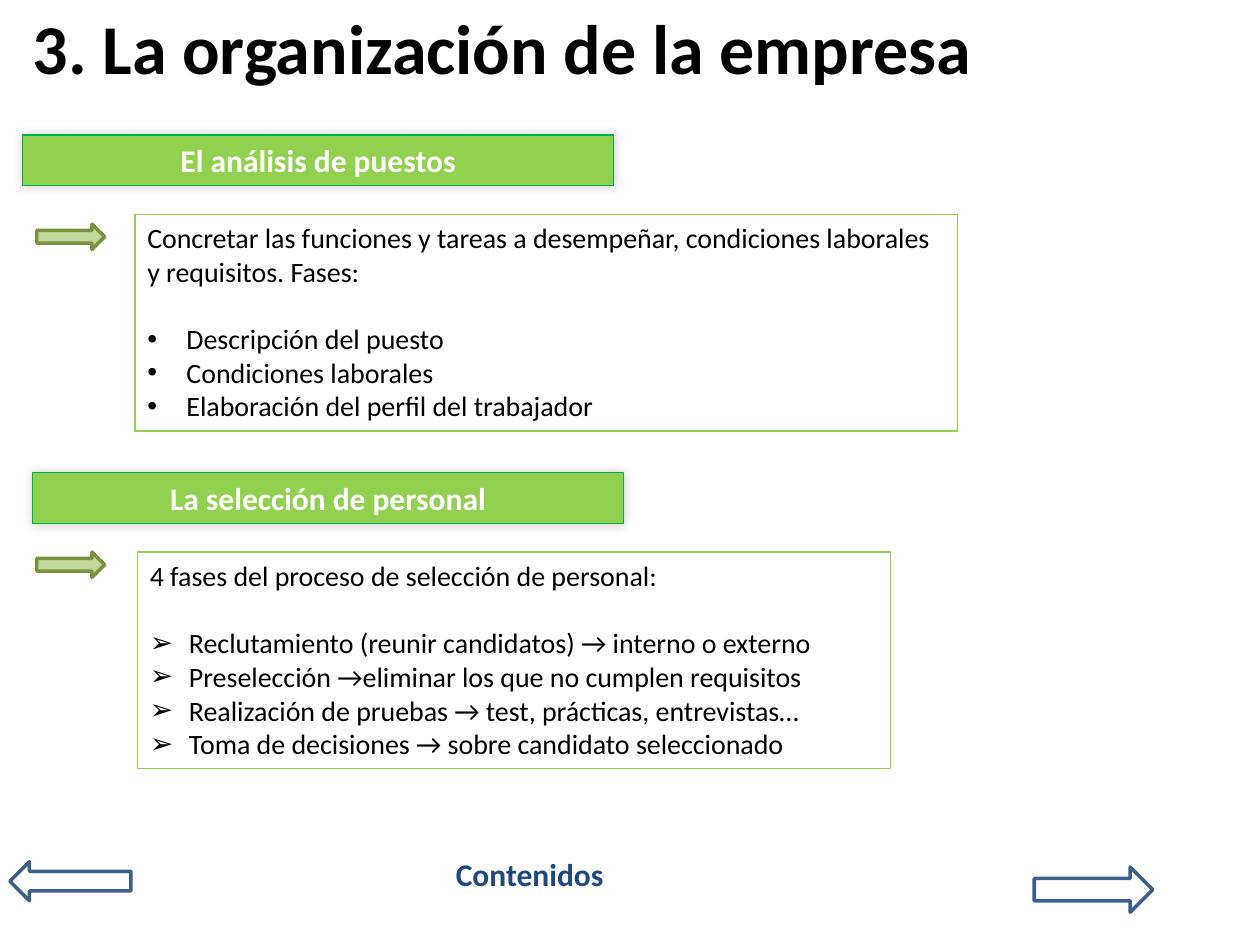
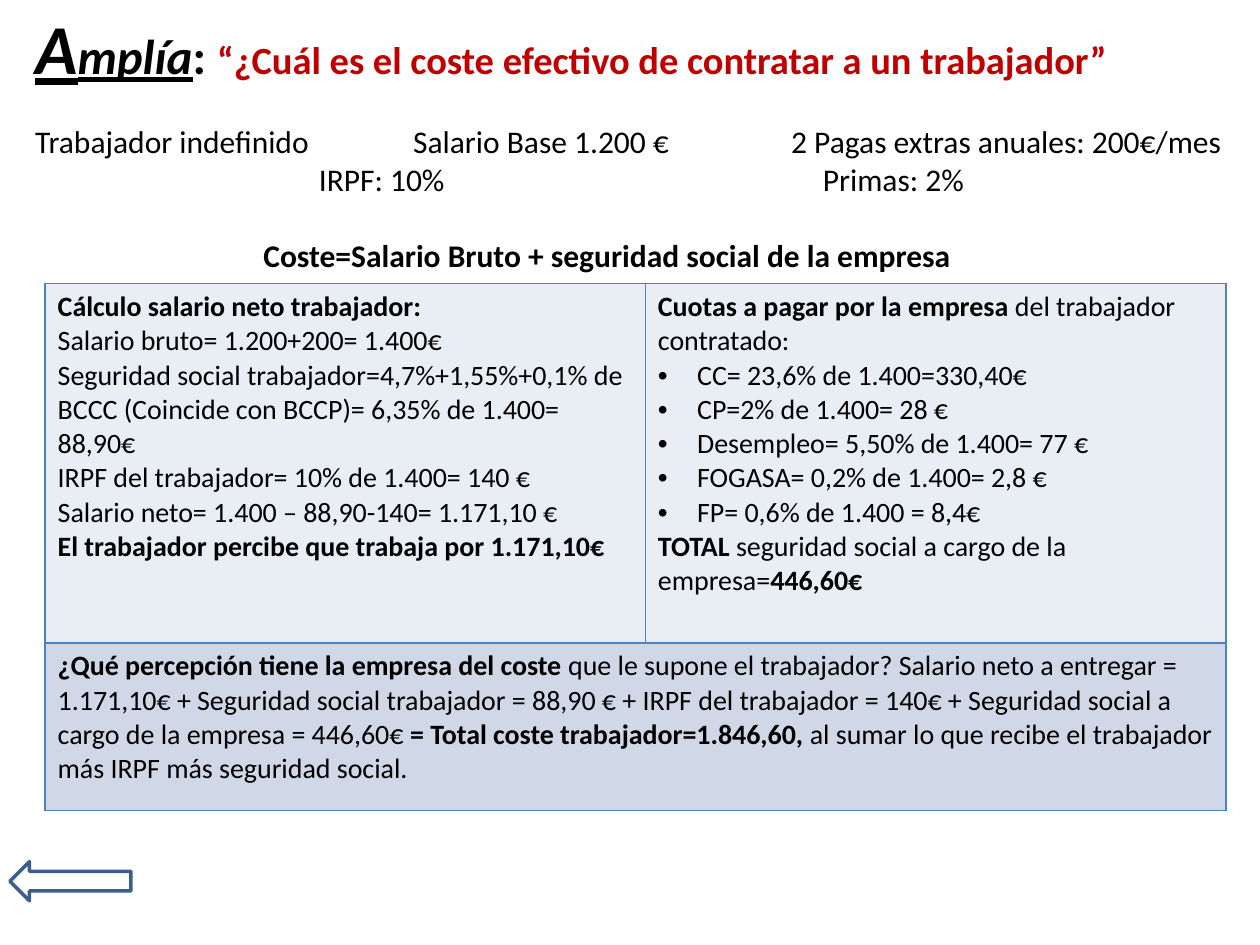
from dataclasses import dataclass

from lxml.etree import SubElement
from pptx import Presentation
from pptx.dml.color import RGBColor
from pptx.enum.shapes import MSO_SHAPE
from pptx.enum.text import MSO_ANCHOR, PP_ALIGN
from pptx.oxml.ns import qn
from pptx.util import Cm, Pt


@dataclass(frozen=True)
class Theme:
    font: str = "Calibri"
    black: str = "000000"
    white: str = "FFFFFF"
    red: str = "C00000"
    navy: str = "1F497D"
    green: str = "92D050"
    green_edge: str = "00B050"
    pointer: str = "C3D69B"
    pointer_edge: str = "77933C"
    nav_edge: str = "3A5F8C"
    grid: str = "4F81BD"
    row_light: str = "E9EDF4"
    row_dark: str = "D0D8E8"
    title: int = 40
    subtitle: int = 28
    question: int = 22
    heading: int = 18
    body: int = 16


THEME = Theme()
INDENT = Cm(0.79)
PARAGRAPH_GAP = 19.5
NAV_BACK = (0.2, 17.37, 2.44, 0.79)
NAV_NEXT = (20.85, 17.48, 2.39, 0.91)
BANNER_SIZE = (11.91, 1.02)
POINTER_SIZE = (1.37, 0.51)


def add_text(frame, text, size=THEME.body, color=THEME.black, bold=False,
             align=PP_ALIGN.LEFT, bullet=None, tabs=(), before=0):
    """Add one paragraph; text is a string or a list of (string, overrides)."""
    paragraph = frame.paragraphs[0]
    if paragraph.runs:
        paragraph = frame.add_paragraph()
    paragraph.alignment = align
    properties = paragraph._p.get_or_add_pPr()
    if bullet:
        properties.set("marL", str(INDENT))
        properties.set("indent", str(-INDENT))
        SubElement(properties, qn("a:buFont"), typeface="Arial")
        SubElement(properties, qn("a:buChar"), char=bullet)
    if tabs:
        stops = SubElement(properties, qn("a:tabLst"))
        for stop in tabs:
            SubElement(stops, qn("a:tab"), pos=str(Cm(stop)), algn="l")
    if before:
        paragraph.space_before = Pt(before)
    for words, changes in [(text, {})] if isinstance(text, str) else text:
        look = {"size": size, "color": color, "bold": bold, **changes}
        run = paragraph.add_run()
        run.text = words
        run.font.name = THEME.font
        run.font.size = Pt(look["size"])
        run.font.color.rgb = RGBColor.from_string(look["color"])
        run.font.bold = look["bold"]
        run.font.italic = look.get("italic", False)
        run.font.underline = look.get("underline", False)


def add_bullets(frame, items, bullet, before=0):
    for number, item in enumerate(items):
        add_text(frame, item, bullet=bullet, before=0 if number else before)


def add_label(slide, box, anchor=MSO_ANCHOR.TOP):
    frame = slide.shapes.add_textbox(*map(Cm, box)).text_frame
    frame.word_wrap = True
    frame.vertical_anchor = anchor
    return frame


def add_outlined(slide, kind, box, edge, width, fill=None):
    shape = slide.shapes.add_shape(kind, *map(Cm, box))
    shape.shadow.inherit = False
    if fill:
        shape.fill.solid()
        shape.fill.fore_color.rgb = RGBColor.from_string(fill)
    else:
        shape.fill.background()
    shape.line.color.rgb = RGBColor.from_string(edge)
    shape.line.width = Pt(width)
    shape.text_frame.word_wrap = True
    return shape


def add_banner(slide, left, top, heading):
    banner = add_outlined(slide, MSO_SHAPE.RECTANGLE, (left, top, *BANNER_SIZE),
                          THEME.green_edge, 0.75, THEME.green)
    effects = banner._element.spPr.find(qn("a:effectLst"))
    glow = SubElement(effects, qn("a:outerShdw"), blurRad=str(Pt(6)),
                      dist="0", dir="13500000", rotWithShape="0")
    tint = SubElement(glow, qn("a:srgbClr"), val=THEME.black)
    SubElement(tint, qn("a:alpha"), val="20000")
    banner.text_frame.vertical_anchor = MSO_ANCHOR.TOP
    add_text(banner.text_frame, heading, size=THEME.heading, color=THEME.white,
             bold=True, align=PP_ALIGN.CENTER)


def add_phases(slide, box, intro, phases, bullet):
    panel = add_outlined(slide, MSO_SHAPE.RECTANGLE, box, THEME.green, 0.75)
    frame = panel.text_frame
    frame.vertical_anchor = MSO_ANCHOR.TOP
    add_text(frame, intro)
    add_bullets(frame, phases, bullet, before=PARAGRAPH_GAP)


def add_pointer(slide, left, top):
    add_outlined(slide, MSO_SHAPE.RIGHT_ARROW, (left, top, *POINTER_SIZE),
                 THEME.pointer_edge, 2, THEME.pointer)


def add_nav(slide, kind, box):
    add_outlined(slide, kind, box, THEME.nav_edge, 2)


def style_cell(cell, fill):
    properties = cell._tc.get_or_add_tcPr()
    for side in ("a:lnL", "a:lnR", "a:lnT", "a:lnB"):
        border = SubElement(properties, qn(side), w=str(Pt(1)))
        paint = SubElement(border, qn("a:solidFill"))
        SubElement(paint, qn("a:srgbClr"), val=THEME.grid)
    cell.fill.solid()
    cell.fill.fore_color.rgb = RGBColor.from_string(fill)


def add_cost_table(slide):
    widths, heights = (12.1, 11.7), (7.24, 3.38)
    table = slide.shapes.add_table(2, 2, Cm(0.91), Cm(5.72),
                                   Cm(sum(widths)), Cm(sum(heights))).table
    for column, width in zip(table.columns, widths):
        column.width = Cm(width)
    for row, height, fill in zip(table.rows, heights,
                                 (THEME.row_light, THEME.row_dark)):
        row.height = Cm(height)
        for cell in row.cells:
            style_cell(cell, fill)
    table.cell(1, 0).merge(table.cell(1, 1))
    strong = {"bold": True}

    # Worker's net salary
    net_salary = table.cell(0, 0).text_frame
    add_text(net_salary, "Cálculo salario neto trabajador:", bold=True)
    for step in (
        "Salario bruto= 1.200+200= 1.400€",
        "Seguridad social trabajador=4,7%+1,55%+0,1% de BCCC "
        "(Coincide con BCCP)= 6,35% de 1.400= 88,90€",
        "IRPF del trabajador= 10% de 1.400= 140 €",
        "Salario neto= 1.400 – 88,90-140= 1.171,10 €",
    ):
        add_text(net_salary, step)
    add_text(net_salary, "El trabajador percibe que trabaja por 1.171,10€", bold=True)

    # Company contributions
    contributions = table.cell(0, 1).text_frame
    add_text(contributions, [("Cuotas a pagar por la empresa ", strong),
                             ("del trabajador contratado:", {})])
    add_bullets(contributions, (
        "CC= 23,6% de 1.400=330,40€",
        "CP=2% de 1.400= 28 €",
        "Desempleo= 5,50% de 1.400= 77 €",
        "FOGASA= 0,2% de 1.400= 2,8 €",
        "FP= 0,6% de 1.400 = 8,4€",
    ), "•")
    add_text(contributions, [("TOTAL ", strong),
                             ("seguridad social a cargo de la empresa=", {}),
                             ("446,60€", strong)])

    # Total cost for the company
    add_text(table.cell(1, 0).text_frame, [
        ("¿Qué percepción tiene la empresa del coste", strong),
        (" que le supone el trabajador? Salario neto a entregar = 1.171,10€ + "
         "Seguridad social trabajador = 88,90 € + IRPF del trabajador = 140€ + "
         "Seguridad social a cargo de la empresa = 446,60€ ", {}),
        ("= Total coste trabajador=1.846,60, ", strong),
        ("al sumar lo que recibe el trabajador más IRPF más seguridad social.", {}),
    ])


def build_organization(slide):
    title = add_label(slide, (0.41, 0.13, 23.93, 1.6), MSO_ANCHOR.MIDDLE)
    add_text(title, "3. La organización de la empresa", size=THEME.title, bold=True)

    # Job analysis
    add_banner(slide, 0.46, 2.72, "El análisis de puestos")
    add_pointer(slide, 0.74, 4.52)
    add_phases(slide, (2.72, 4.32, 16.59, 4.37),
               "Concretar las funciones y tareas a desempeñar, condiciones "
               "laborales y requisitos. Fases:",
               ("Descripción del puesto", "Condiciones laborales",
                "Elaboración del perfil del trabajador"), "•")

    # Staff selection
    add_banner(slide, 0.66, 9.53, "La selección de personal")
    add_pointer(slide, 0.74, 11.13)
    add_phases(slide, (2.77, 11.13, 15.19, 4.37),
               "4 fases del proceso de selección de personal:",
               ("Reclutamiento (reunir candidatos) → interno o externo",
                "Preselección →eliminar los que no cumplen requisitos",
                "Realización de pruebas → test, prácticas, entrevistas…",
                "Toma de decisiones → sobre candidato seleccionado"), "➢")

    # Navigation
    add_text(add_label(slide, (8.94, 17.12, 3.66, 1.02)), "Contenidos",
             size=THEME.heading, color=THEME.navy, bold=True)
    add_nav(slide, MSO_SHAPE.LEFT_ARROW, NAV_BACK)
    add_nav(slide, MSO_SHAPE.RIGHT_ARROW, NAV_NEXT)


def build_hiring_cost(slide):
    title = add_label(slide, (0.46, 0.1, 22.86, 1.68), MSO_ANCHOR.MIDDLE)
    accent = {"italic": True, "underline": True}
    add_text(title, [
        ("A", {"size": THEME.title, **accent}),
        ("mplía", accent),
        (": ", {}),
        ("“¿Cuál es el coste efectivo de contratar a un trabajador”",
         {"size": THEME.question, "color": THEME.red}),
    ], size=THEME.subtitle, bold=True)

    # Starting data
    data = add_label(slide, (0.46, 2.34, 24.94, 3.33))
    add_text(data, "Trabajador indefinido\tSalario Base 1.200 €\t"
             "2 Pagas extras anuales: 200€/mes",
             size=THEME.heading, tabs=(7.62, 15.24))
    add_text(data, "\tIRPF: 10%\tPrimas: 2%", size=THEME.heading, tabs=(5.72, 15.88))
    add_text(data, "\tCoste=Salario Bruto + seguridad social de la empresa",
             size=THEME.heading, bold=True, tabs=(4.6,), before=22)

    add_cost_table(slide)
    add_nav(slide, MSO_SHAPE.LEFT_ARROW, NAV_BACK)


def main():
    deck = Presentation()
    deck.slide_width, deck.slide_height = Cm(25.4), Cm(19.05)
    blank = deck.slide_layouts[6]
    for build in (build_organization, build_hiring_cost):
        build(deck.slides.add_slide(blank))
    deck.save("out.pptx")


if __name__ == "__main__":
    main()
